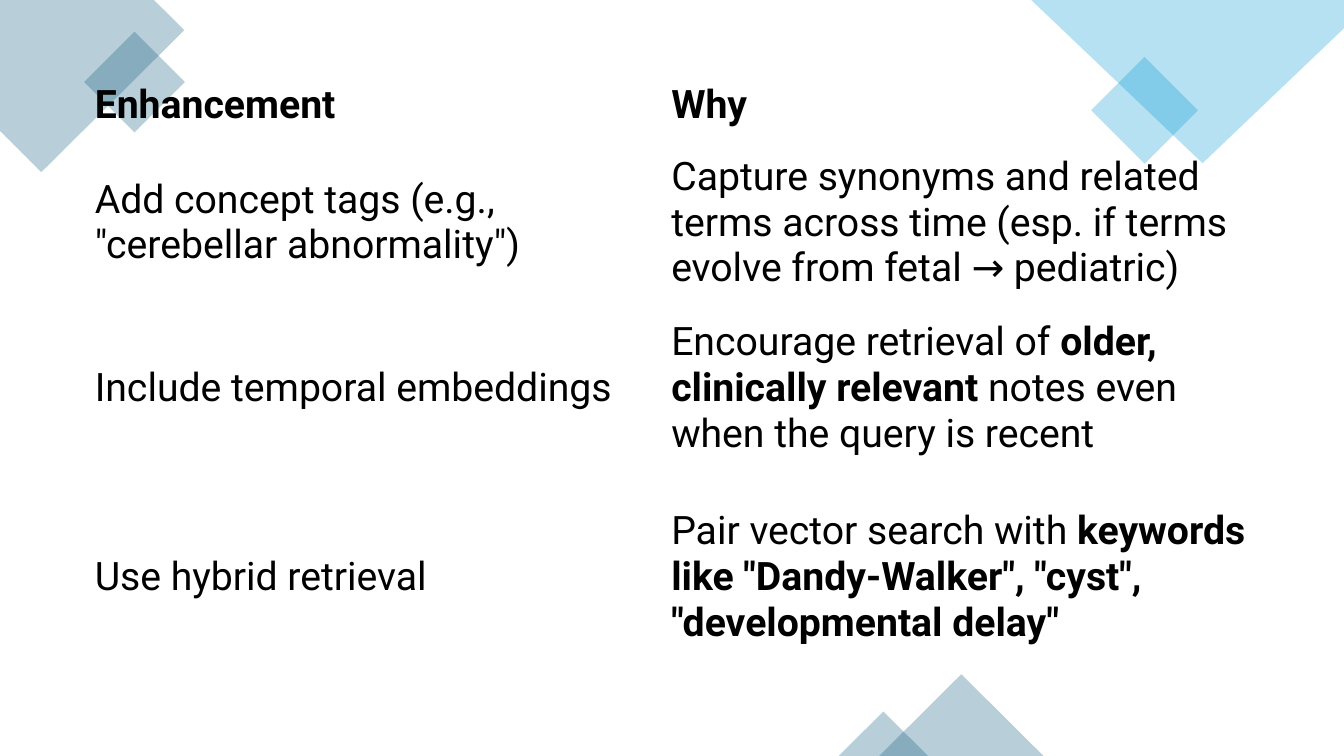
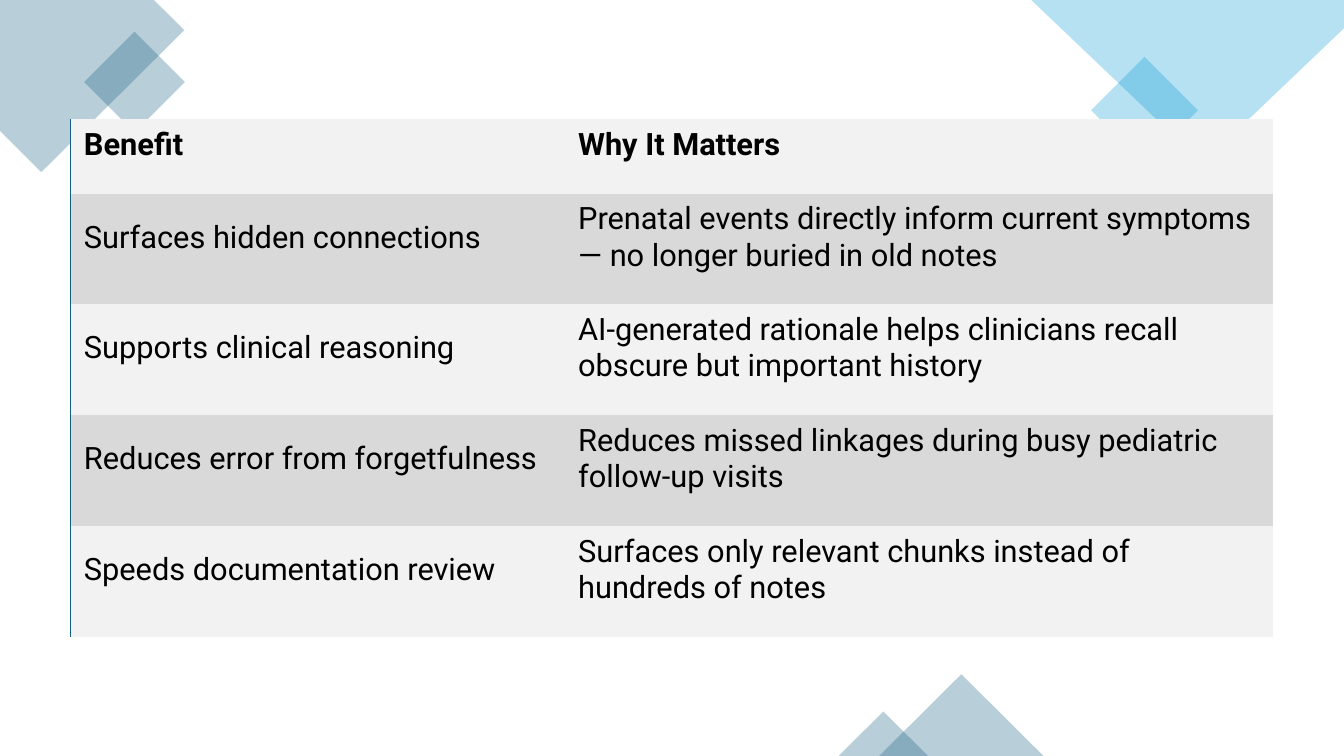
from lxml.etree import SubElement
from pptx import Presentation
from pptx.dml.color import RGBColor
from pptx.enum.shapes import MSO_SHAPE
from pptx.enum.text import MSO_ANCHOR
from pptx.oxml import parse_xml
from pptx.oxml.ns import nsdecls, qn
from pptx.util import Pt

# Shared look
TEAL = RGBColor(0x15, 0x60, 0x82)
SKY = RGBColor(0x0F, 0x9E, 0xD5)
BLACK = RGBColor(0, 0, 0)
LIGHT_GREY = RGBColor(0xF2, 0xF2, 0xF2)
MID_GREY = RGBColor(0xD9, 0xD9, 0xD9)
FONT = "Roboto"
DECOR_OPACITY = 30
PLAIN_TABLE_STYLE = "{2D5ABB26-0587-4C30-8999-92F81FD0307C}"

# Corner pieces: outlines as points, presets as kind, box, rotation, colour
TOP_LEFT_OUTLINE = [(110, 0), (0, 0), (0, 93.6), (29.5, 123), (131.6, 21.6)]
TOP_RIGHT_OUTLINE = [(960, 0), (736.6, 0), (859, 116.6), (960, 20.2)]
DECOR_SHAPES = [
    (MSO_SHAPE.RECTANGLE, (70.6, 33.1, 51, 51), 315, TEAL),
    (MSO_SHAPE.RECTANGLE, (790.6, 51.8, 54, 54), 315, SKY),
    (MSO_SHAPE.ISOSCELES_TRIANGLE, (628, 481.6, 117.4, 58.4), 0, TEAL),
    (MSO_SHAPE.ISOSCELES_TRIANGLE, (599, 508.3, 64, 31.7), 0, TEAL),
]

# Table content; ** switches bold on and off
ENHANCEMENTS = [
    ("**Enhancement**", "**Why**"),
    ('Add concept tags (e.g., "cerebellar abnormality")',
     "Capture synonyms and related terms across time "
     "(esp. if terms evolve from fetal → pediatric)"),
    ("Include temporal embeddings",
     "Encourage retrieval of **older, clinically relevant** notes even "
     "when the query is recent"),
    ("Use hybrid retrieval",
     'Pair vector search with **keywords like "Dandy-Walker", "cyst", '
     '"developmental delay"**'),
]
BENEFITS = [
    ("**Benefit**", "**Why It Matters**"),
    ("Surfaces hidden connections",
     "Prenatal events directly inform current symptoms "
     "— no longer buried in old notes"),
    ("Supports clinical reasoning",
     "AI-generated rationale helps clinicians recall "
     "obscure but important history"),
    ("Reduces error from forgetfulness",
     "Reduces missed linkages during busy pediatric follow-up visits"),
    ("Speeds documentation review",
     "Surfaces only relevant chunks instead of hundreds of notes"),
]


def apply_format(target, values):
    for name, value in values.items():
        setattr(target, name, value)


def tint(shape, color):
    """Give a decoration its translucent fill, without line or shadow."""
    shape.shadow.inherit = False
    shape.line.fill.background()
    shape.fill.solid()
    shape.fill.fore_color.rgb = color
    color_node = next(shape.fill._xPr.iter(qn("a:srgbClr")))
    SubElement(color_node, qn("a:alpha"), val=str(DECOR_OPACITY * 1000))


def add_outline(slide, points, color):
    start, *rest = [(Pt(x), Pt(y)) for x, y in points]
    builder = slide.shapes.build_freeform(*start)
    builder.add_line_segments(rest, close=True)
    tint(builder.convert_to_shape(), color)


def add_decor(slide):
    add_outline(slide, TOP_LEFT_OUTLINE, TEAL)
    add_outline(slide, TOP_RIGHT_OUTLINE, SKY)
    for kind, box, rotation, color in DECOR_SHAPES:
        piece = slide.shapes.add_shape(kind, *map(Pt, box))
        piece.rotation = rotation
        tint(piece, color)


def write_cell(cell, text, size, margins):
    apply_format(cell, {"vertical_anchor": MSO_ANCHOR.MIDDLE, **margins})
    paragraph = cell.text_frame.paragraphs[0]
    for index, part in enumerate(text.split("**")):
        if part:
            run = paragraph.add_run()
            run.text = part
            apply_format(run.font, {"name": FONT, "size": Pt(size),
                                    "bold": index % 2 == 1})
            run.font.color.rgb = BLACK


def add_left_border(cell, color, width):
    border = parse_xml(
        f'<a:lnL {nsdecls("a")} w="{Pt(width)}"><a:solidFill>'
        f'<a:srgbClr val="{color}"/></a:solidFill></a:lnL>')
    cell._tc.get_or_add_tcPr().insert(0, border)


def add_text_table(slide, rows, origin, widths, heights, size, insets, bands=()):
    """Add a plain table; bands are row fills used in turn."""
    table = slide.shapes.add_table(
        len(rows), len(widths), *map(Pt, origin),
        Pt(sum(widths)), Pt(sum(heights))).table
    apply_format(table, {"first_row": False, "horz_banding": False})
    table._tbl.tblPr.find(qn("a:tableStyleId")).text = PLAIN_TABLE_STYLE
    for column, width in zip(table.columns, widths):
        column.width = Pt(width)
    sides = ("margin_left", "margin_top", "margin_right", "margin_bottom")
    margins = dict(zip(sides, map(Pt, insets)))
    for index, (row, height, texts) in enumerate(zip(table.rows, heights, rows)):
        row.height = Pt(height)
        for cell, text in zip(row.cells, texts):
            write_cell(cell, text, size, margins)
            if bands:
                cell.fill.solid()
                cell.fill.fore_color.rgb = bands[index % len(bands)]
            else:
                cell.fill.background()
    return table


def add_decorated_slide(prs):
    slide = prs.slides.add_slide(prs.slide_layouts[6])
    add_decor(slide)
    return slide


def main():
    prs = Presentation()
    apply_format(prs, {"slide_width": Pt(960), "slide_height": Pt(540)})

    # Enhancements
    add_text_table(
        add_decorated_slide(prs), ENHANCEMENTS, origin=(56.2, 50.4),
        widths=(411.8, 435.6), heights=(49.7, 118, 118, 152.6),
        size=28, insets=(11.5, 5.8, 11.5, 5.8))

    # Benefits
    benefits = add_text_table(
        add_decorated_slide(prs), BENEFITS, origin=(50.6, 85),
        widths=(353, 505.6), heights=(53.4, *[79.1] * 4),
        size=22, insets=(9.4, 2.9, 13, 19.4), bands=(LIGHT_GREY, MID_GREY))
    for row in benefits.rows:
        add_left_border(row.cells[0], TEAL, 1)

    prs.save("out.pptx")


if __name__ == "__main__":
    main()
